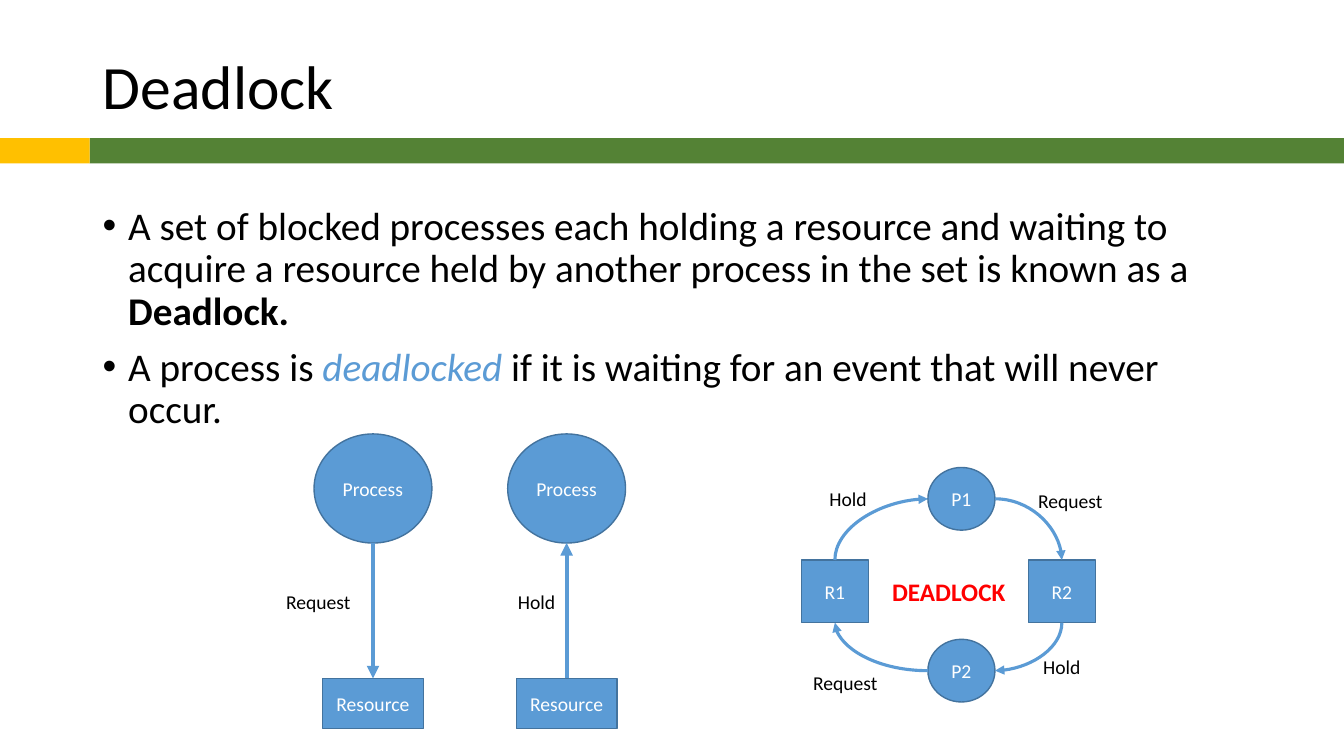
from lxml import etree
from pptx import Presentation
from pptx.dml.color import RGBColor
from pptx.enum import shapes, text
from pptx.oxml import ns
from pptx.util import Cm, Pt

BLACK = RGBColor(0x00, 0x00, 0x00)
WHITE = RGBColor(0xFF, 0xFF, 0xFF)
BLUE = RGBColor(0x5B, 0x9B, 0xD5)
EDGE = RGBColor(0x43, 0x73, 0x9E)
GREEN = RGBColor(0x54, 0x82, 0x35)
GOLD = RGBColor(0xFF, 0xC0, 0x00)
RED = RGBColor(0xFF, 0x00, 0x00)

RECT = shapes.MSO_SHAPE.RECTANGLE
OVAL = shapes.MSO_SHAPE.OVAL
WIDTH, HEIGHT = 33.87, 19.05


def style(para, size, color, bold=None):
    font = para.font
    font.name, font.size, font.bold = "Calibri", Pt(size), bold
    font.color.rgb = color


def band(slide, left, width, color):
    shape = slide.shapes.add_shape(RECT, Cm(left), Cm(3.48), Cm(width), Cm(0.64))
    shape.shadow.inherit = False
    shape.fill.solid()
    shape.fill.fore_color.rgb = color
    shape.line.fill.background()


def node(slide, kind, words, x, y, width, height):
    """Add a labelled shape centred on x, y."""
    shape = slide.shapes.add_shape(
        kind, Cm(x - width / 2), Cm(y - height / 2), Cm(width), Cm(height))
    shape.shadow.inherit = False
    shape.fill.solid()
    shape.fill.fore_color.rgb = BLUE
    shape.line.color.rgb = EDGE
    shape.line.width = Pt(1)
    frame = shape.text_frame
    frame.vertical_anchor = text.MSO_ANCHOR.MIDDLE
    para = frame.paragraphs[0]
    para.text = words
    para.alignment = text.PP_ALIGN.CENTER
    style(para, 14, WHITE)
    return shape


def label(slide, words, left, top, width, height=0.86, size=14, color=BLACK, bold=None):
    box = slide.shapes.add_textbox(Cm(left), Cm(top), Cm(width), Cm(height))
    frame = box.text_frame
    frame.word_wrap = False
    frame.auto_size = text.MSO_AUTO_SIZE.SHAPE_TO_FIT_TEXT
    para = frame.paragraphs[0]
    para.text = words
    style(para, size, color, bold)
    return para


def arrow(slide, kind, start, end, width):
    line = slide.shapes.add_connector(kind, *map(Cm, start + end))
    line.line.color.rgb = BLUE
    line.line.width = Pt(width)
    tail = etree.SubElement(line.line._get_or_add_ln(), ns.qn("a:tailEnd"))
    tail.set("type", "triangle")
    etree.SubElement(line._element.spPr, ns.qn("a:effectLst"))
    return line


def curve(slide, start, end, turn):
    """Add a quarter bend, rotated by a number of quarter turns."""
    (x1, y1), (x2, y2) = start, end
    half = [abs(x2 - x1) / 2, abs(y2 - y1) / 2]
    if turn % 2:
        half.reverse()
    x, y = (x1 + x2) / 2, (y1 + y2) / 2
    line = arrow(slide, shapes.MSO_CONNECTOR.CURVE,
                 (x - half[0], y - half[1]), (x + half[0], y + half[1]), 2.25)
    props = line._element.spPr
    props.find(ns.qn("a:xfrm")).set("rot", str(turn * 5400000))
    props.find(ns.qn("a:prstGeom")).set("prst", "curvedConnector2")


def bullet(para, parts):
    props = para._p.get_or_add_pPr()
    props.set("marL", str(Cm(0.64)))
    props.set("indent", str(-Cm(0.64)))
    font = etree.SubElement(props, ns.qn("a:buFont"))
    font.set("typeface", "Arial")
    etree.SubElement(props, ns.qn("a:buChar")).set("char", "•")
    para.line_spacing = 0.9
    style(para, 28, BLACK)
    for words, look in parts:
        run = para.add_run()
        run.text = words
        if look == "bold":
            run.font.bold = True
        elif look == "accent":
            run.font.italic = True
            run.font.color.rgb = BLUE


def head(slide):
    title = slide.shapes.title
    title.left, title.top, title.width, title.height = map(Cm, (2.34, 1.02, 29.21, 2.46))
    frame = title.text_frame
    frame.vertical_anchor = text.MSO_ANCHOR.MIDDLE
    para = frame.paragraphs[0]
    para.text = "Deadlock"
    para.alignment = text.PP_ALIGN.LEFT
    para.line_spacing = 0.9
    style(para, 44, BLACK)
    band(slide, 2.26, WIDTH - 2.26, GREEN)
    band(slide, 0, 2.26, GOLD)


def body(slide):
    box = slide.shapes.add_textbox(*map(Cm, (2.34, 5.08, 29.21, 12.09)))
    frame = box.text_frame
    frame.word_wrap = True
    bullet(frame.paragraphs[0], [
        ("A set of blocked processes each holding a resource and waiting to acquire "
         "a resource held by another process in the set is known as a ", None),
        ("Deadlock.", "bold")])
    para = frame.add_paragraph()
    para.space_before = Pt(10)
    bullet(para, [
        ("A process is ", None), ("deadlocked ", "accent"),
        ("if it is waiting for an event that will never occur.", None)])


def pair(slide, x, words, left, width):
    """Draw one process and resource with the arrow between them."""
    box = node(slide, RECT, "Resource", x, 17.73, 2.54, 1.27)
    node(slide, OVAL, "Process", x, 12.31, 2.97, 2.75)
    low, high = (x, 17.09), (x, 13.68)
    if words == "Request":
        line = arrow(slide, shapes.MSO_CONNECTOR.STRAIGHT, high, low, 3)
        line.end_connect(box, 0)
    else:
        line = arrow(slide, shapes.MSO_CONNECTOR.STRAIGHT, low, high, 3)
        line.begin_connect(box, 0)
    label(slide, words, left, 14.73, width)


def ring(slide):
    wide, tall = 1.69, 1.58
    mid, west, east = 24.23, 21.04, 26.76
    north, level, south = 12.57, 14.9, 16.9
    for kind, words, x, y in [
            (OVAL, "P1", mid, north), (OVAL, "P2", mid, south),
            (RECT, "R1", west, level), (RECT, "R2", east, level)]:
        node(slide, kind, words, x, y, wide, tall)

    # Clockwise arrows, starting from P1
    left, right = mid - wide / 2, mid + wide / 2
    top, base = level - tall / 2, level + tall / 2
    bends = [((right, north), (east, top)), ((east, base), (right, south)),
             ((left, south), (west, base)), ((west, top), (left, north))]
    for turn, (start, end) in enumerate(bends):
        curve(slide, start, end, turn)

    for words, x, y, width in [
            ("Hold", 20.65, 12.14, 1.57), ("Hold", 26.04, 16.38, 1.57),
            ("Request", 20.24, 16.79, 2.34), ("Request", 25.91, 12.19, 2.34)]:
        label(slide, words, x, y, width)
    para = label(slide, "DEADLOCK", 22.17, 14.4, 3.48, 1.02, 18, RED, True)
    para.alignment = text.PP_ALIGN.CENTER


def main():
    deck = Presentation()
    deck.slide_width, deck.slide_height = Cm(WIDTH), Cm(HEIGHT)
    slide = deck.slides.add_slide(deck.slide_layouts[5])
    # Title, bands and bullets
    head(slide)
    body(slide)
    # Diagrams
    pair(slide, 9.4, "Request", 6.96, 2.34)
    pair(slide, 14.28, "Hold", 12.8, 1.57)
    ring(slide)
    deck.save("out.pptx")


if __name__ == "__main__":
    main()
